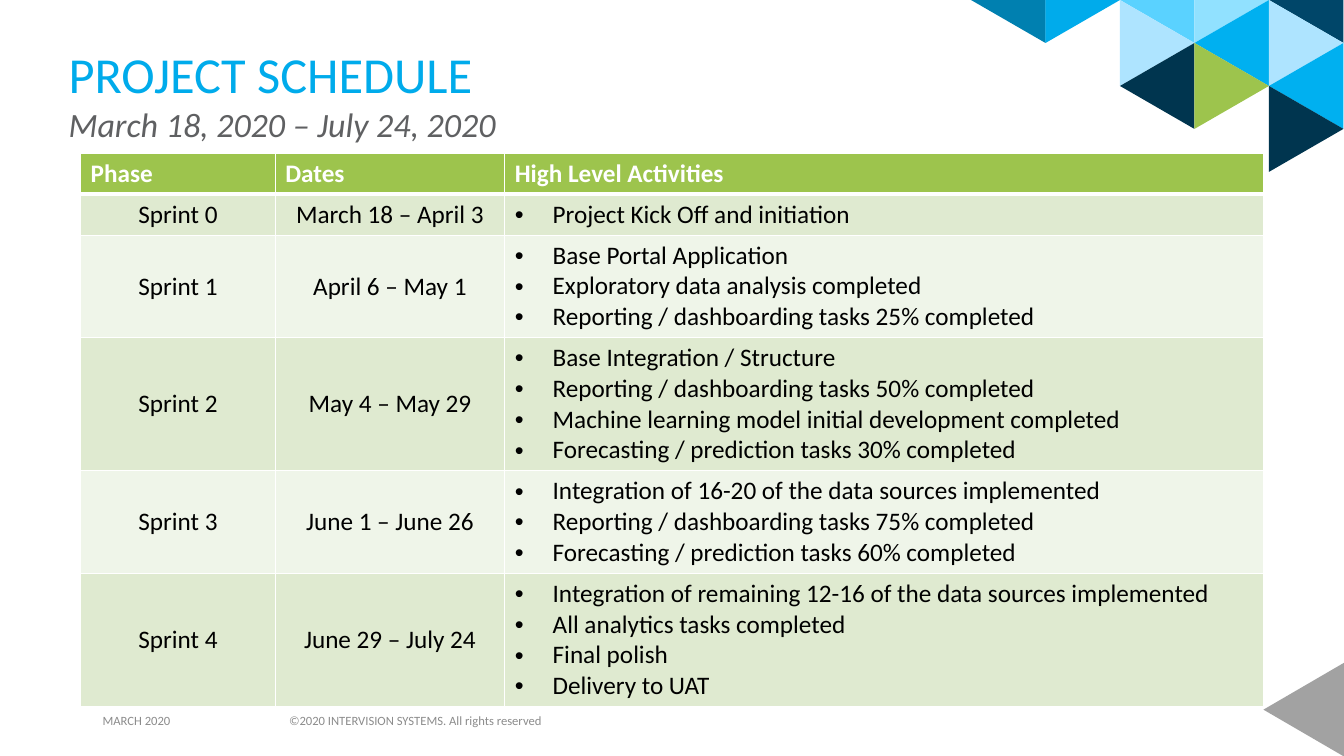
import pptx
import pptx.util
import pptx.dml.color
import pptx.enum.shapes
import pptx.enum.text
import pptx.oxml
import pptx.oxml.ns
from lxml import etree

Pt = pptx.util.Pt
ALIGN = pptx.enum.text.PP_ALIGN
ANCHOR = pptx.enum.text.MSO_ANCHOR
TRIANGLE = pptx.enum.shapes.MSO_SHAPE.ISOSCELES_TRIANGLE
qn = pptx.oxml.ns.qn

COLORS = {
    "white": "FFFFFF", "black": "000000", "title": "00ABEB", "subtitle": "5F6062",
    "footer": "8C8C8C", "corner": "A2A2A2", "green": "9DC44D",
    "band_dark": "DFEAD0", "band_light": "EFF5E9",
    "navy": "00354F", "deep": "004669", "teal": "0080B0", "azure": "00ABEB",
    "cyan": "00B0F0", "sky": "5AD2FF", "pale": "91E1FF", "ice": "AEE4FF",
}


def rgb(name):
    return pptx.dml.color.RGBColor.from_string(COLORS[name])


class ScheduleSlide:
    font_name = "Calibri"
    bullet_indent = Pt(27)

    def __init__(self, slide):
        self.slide = slide

    def style(self, paragraph, size, color, bold=False, italic=False):
        font = paragraph.font
        font.name, font.size, font.bold, font.italic = self.font_name, Pt(size), bold, italic
        font.color.rgb = rgb(color)

    def triangle(self, center_x, center_y, base, depth, color, points_left):
        shape = self.slide.shapes.add_shape(
            TRIANGLE, Pt(center_x - base / 2), Pt(center_y - depth / 2), Pt(base), Pt(depth))
        shape.rotation = 270 if points_left else 90
        shape.shadow.inherit = False
        shape.fill.solid()
        shape.fill.fore_color.rgb = rgb(color)
        shape.line.fill.background()

    def text(self, left, top, width, height, lines, anchor, inset=None):
        """Each line is (text, size, color, italic)."""
        frame = self.slide.shapes.add_textbox(Pt(left), Pt(top), Pt(width), Pt(height)).text_frame
        frame.word_wrap = True
        frame.vertical_anchor = anchor
        if inset is not None:
            frame.margin_left = frame.margin_right = Pt(inset)
            frame.margin_top = frame.margin_bottom = Pt(inset)
        frame.text = "\n".join(line[0] for line in lines)
        for paragraph, (_, size, color, italic) in zip(frame.paragraphs, lines):
            self.style(paragraph, size, color, italic=italic)

    def bullet(self, paragraph):
        properties = paragraph._p.get_or_add_pPr()
        properties.set("marL", str(self.bullet_indent))
        properties.set("indent", str(-self.bullet_indent))
        etree.SubElement(properties, qn("a:buFont")).set("typeface", "Arial")
        etree.SubElement(properties, qn("a:buChar")).set("char", "•")

    def borders(self, cell, widths):
        properties = cell._tc.get_or_add_tcPr()
        for side, width in widths.items():
            line = etree.SubElement(properties, qn(f"a:ln{side}"), w=str(Pt(width)))
            fill = etree.SubElement(line, qn("a:solidFill"))
            etree.SubElement(fill, qn("a:srgbClr")).set("val", COLORS["white"])

    def cell(self, cell, lines, fill, header=False, bulleted=False):
        self.borders(cell, {"L": 1, "R": 1, "T": 1 if header or fill == "band_light" else 1,
                            "B": 3 if header else 1})
        cell.fill.solid()
        cell.fill.fore_color.rgb = rgb(fill)
        cell.text_frame.text = "\n".join(lines)
        centered = not (header or bulleted)
        cell.vertical_anchor = ANCHOR.MIDDLE if centered else ANCHOR.TOP
        for paragraph in cell.text_frame.paragraphs:
            paragraph.alignment = ALIGN.CENTER if centered else ALIGN.LEFT
            if bulleted:
                self.bullet(paragraph)
            self.style(paragraph, 18, "white" if header else "black", bold=header)

    def table(self, left, top, column_widths, headings, sprints):
        heights = [29.2] + [7.2 + 22 * len(activities) for _, _, activities in sprints]
        table = self.slide.shapes.add_table(
            len(heights), len(column_widths), Pt(left), Pt(top),
            Pt(sum(column_widths)), Pt(sum(heights))).table
        table.horz_banding = False
        for column, width in zip(table.columns, column_widths):
            column.width = Pt(width)
        for row, height in zip(table.rows, heights):
            row.height = Pt(height)
        for column, heading in enumerate(headings):
            self.cell(table.cell(0, column), [heading], "green", header=True)
        for row, (phase, dates, activities) in enumerate(sprints, start=1):
            band = "band_dark" if row % 2 else "band_light"
            self.cell(table.cell(row, 0), [phase], band)
            self.cell(table.cell(row, 1), [dates], band)
            self.cell(table.cell(row, 2), activities, band, bulleted=True)
            if row == 1:
                top_line = table.cell(row, 0)._tc.tcPr.find(qn("a:lnT"))
                for column in range(len(headings)):
                    top_line = table.cell(row, column)._tc.tcPr.find(qn("a:lnT"))
                    top_line.set("w", str(Pt(3)))


# Triangle mosaic: (column, row) on a lattice of half-height steps
MOSAIC = {
    (0, 0): "teal", (1, 0): "azure", (2, 0): "sky", (3, 0): "pale", (4, 0): "deep",
    (2, 1): "ice", (3, 1): "cyan", (4, 1): "ice",
    (2, 2): "navy", (3, 2): "green", (4, 2): "cyan",
    (4, 3): "navy",
}
MOSAIC_LEFT, MOSAIC_DEPTH, MOSAIC_STEP = 693.6, 53.2, 30.7

SPRINTS = [
    ("Sprint 0", "March 18 – April 3", ["Project Kick Off and initiation"]),
    ("Sprint 1", "April 6 – May 1", [
        "Base Portal Application",
        "Exploratory data analysis completed",
        "Reporting / dashboarding tasks 25% completed"]),
    ("Sprint 2", "May 4 – May 29", [
        "Base Integration / Structure",
        "Reporting / dashboarding tasks 50% completed",
        "Machine learning model initial development completed",
        "Forecasting / prediction tasks 30% completed"]),
    ("Sprint 3", "June 1 – June 26", [
        "Integration of 16-20 of the data sources implemented",
        "Reporting / dashboarding tasks 75% completed",
        "Forecasting / prediction tasks 60% completed"]),
    ("Sprint 4", "June 29 – July 24", [
        "Integration of remaining 12-16 of the data sources implemented",
        "All analytics tasks completed",
        "Final polish",
        "Delivery to UAT"]),
]


def main():
    deck = pptx.Presentation()
    deck.slide_width, deck.slide_height = Pt(960), Pt(540)
    schedule = ScheduleSlide(deck.slides.add_slide(deck.slide_layouts[6]))

    # Corner decoration
    schedule.triangle(931.3, 506.9, 67, 57.6, "corner", points_left=True)
    for (column, row), color in MOSAIC.items():
        schedule.triangle(MOSAIC_LEFT + (column + 0.5) * MOSAIC_DEPTH, row * MOSAIC_STEP,
                          2 * MOSAIC_STEP, MOSAIC_DEPTH, color,
                          points_left=(column + row) % 2 == 0)

    # Title
    schedule.text(49, 31, 845, 86.4, [
        ("PROJECT SCHEDULE", 36, "title", False),
        ("March 18, 2020 – July 24, 2020", 24.3, "subtitle", True)], ANCHOR.TOP, inset=0)

    # Footer
    for left, width, note in [(199.4, 324, "©2020 INTERVISION SYSTEMS. All rights reserved"),
                              (66.2, 216, "MARCH 2020")]:
        schedule.text(left, 500.4, width, 28.8, [(note, 9, "footer", False)], ANCHOR.MIDDLE)

    # Sprint table
    schedule.table(57.6, 109.6, [139, 164, 542],
                   ["Phase", "Dates", "High Level Activities"], SPRINTS)

    deck.save("out.pptx")


if __name__ == "__main__":
    main()
